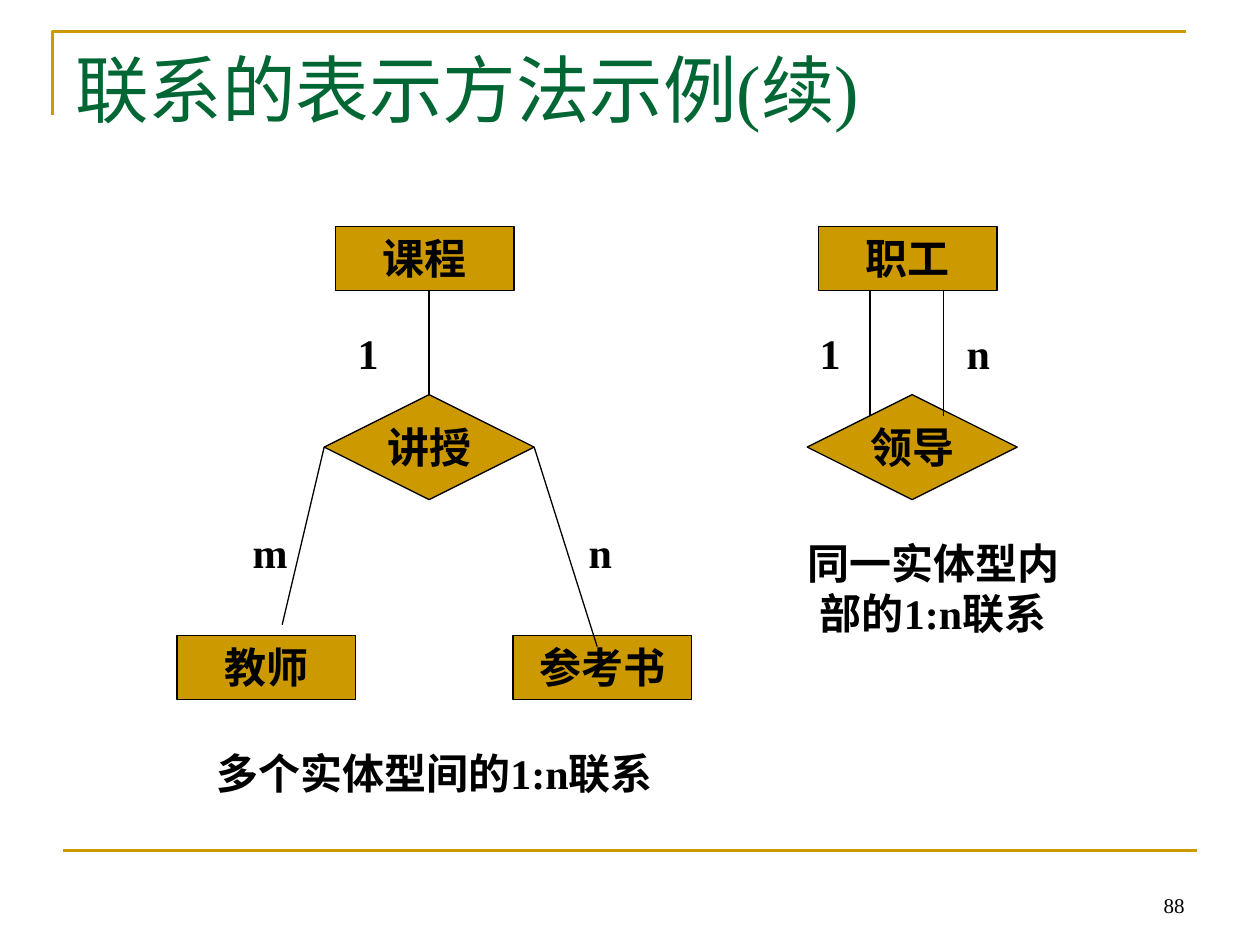
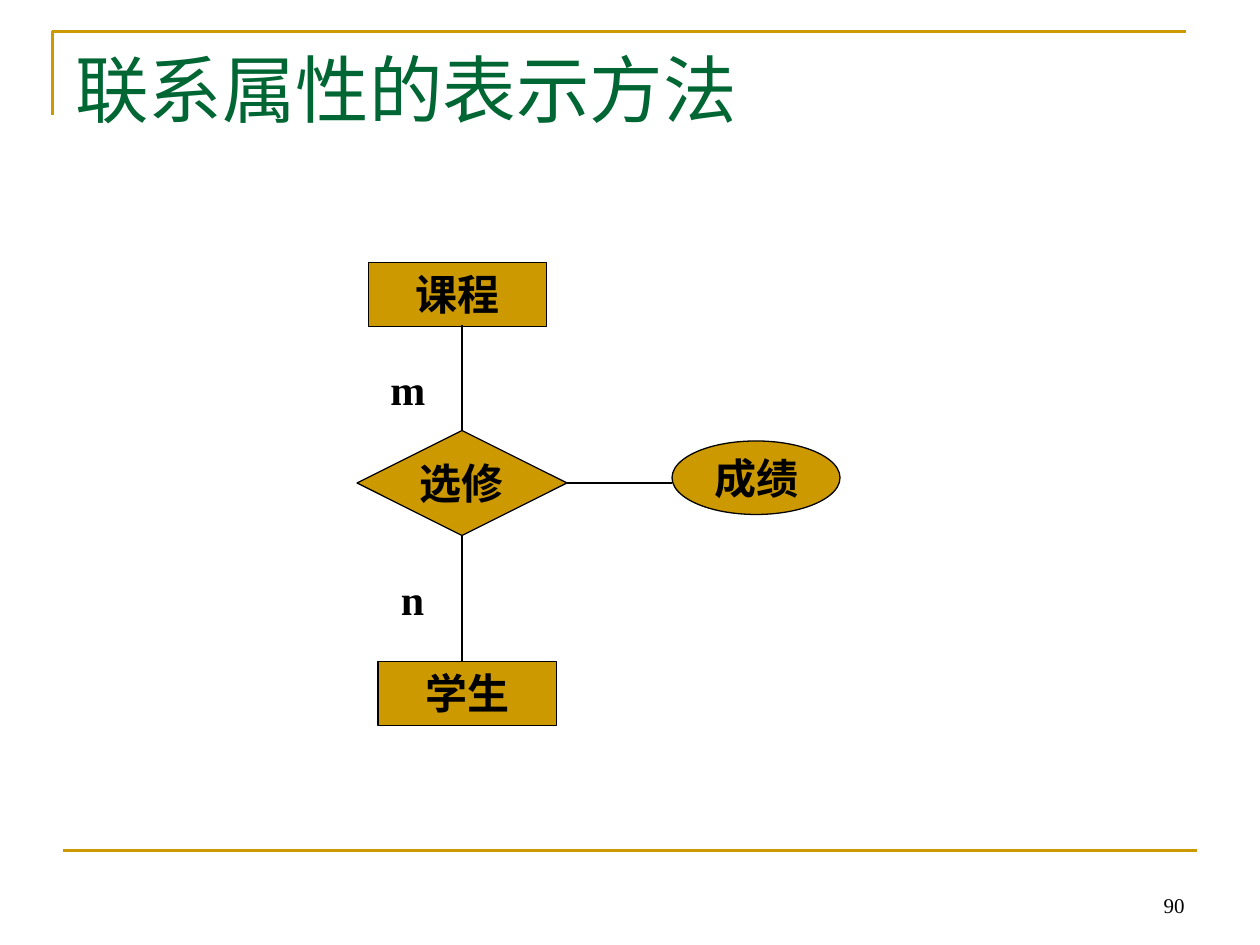
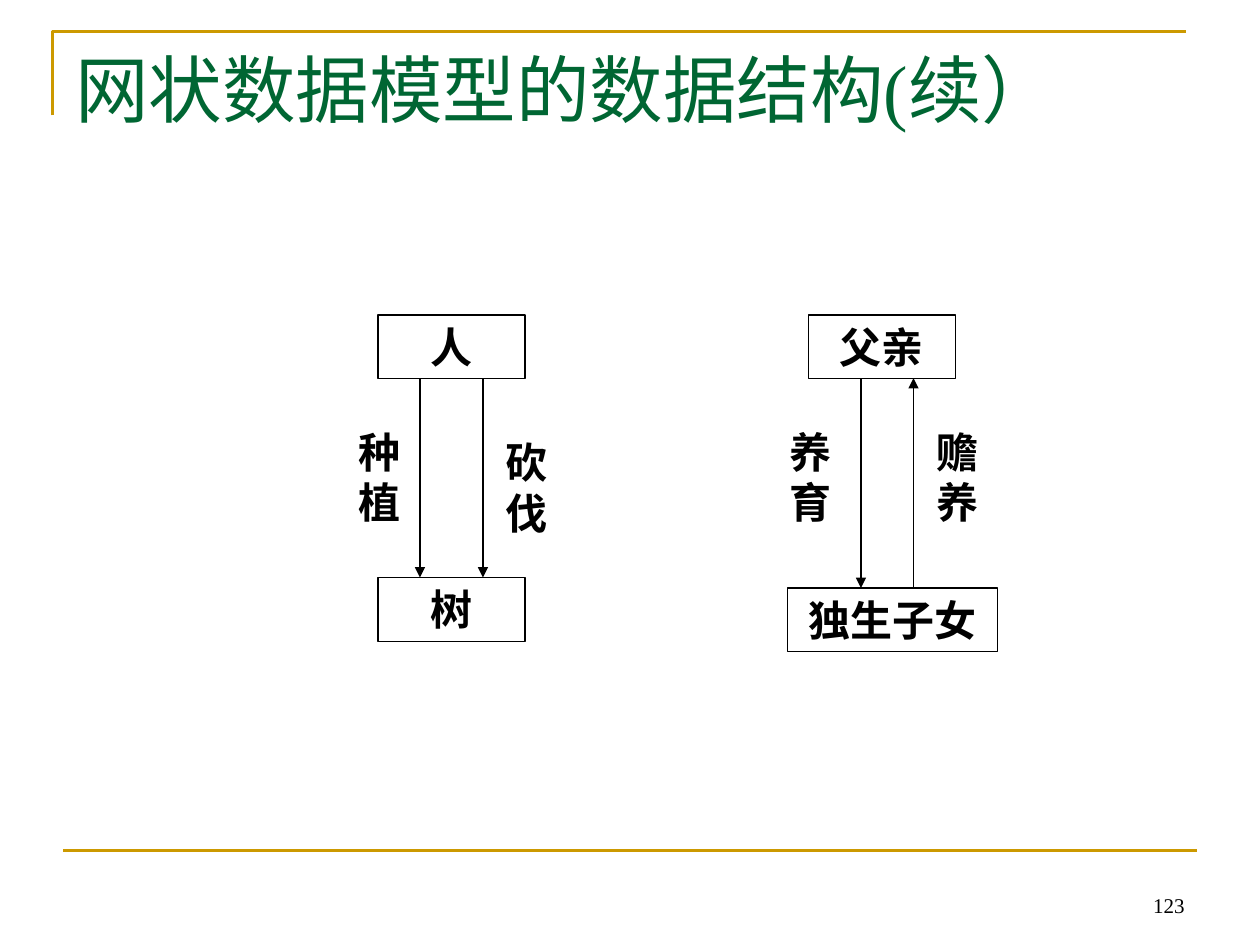
from dataclasses import dataclass

from lxml.etree import SubElement
from pptx import Presentation
from pptx.dml.color import RGBColor
from pptx.enum.shapes import MSO_CONNECTOR, MSO_SHAPE
from pptx.enum.text import MSO_ANCHOR as ANCHOR, MSO_AUTO_SIZE as AUTO, PP_ALIGN as ALIGN
from pptx.oxml.ns import qn
from pptx.util import Pt


@dataclass(frozen=True)
class Theme:
    font: str = "Times New Roman"
    gold: RGBColor = RGBColor(0xCC, 0x99, 0x00)
    green: RGBColor = RGBColor(0x00, 0x66, 0x33)
    black: RGBColor = RGBColor(0x00, 0x00, 0x00)
    title_size: int = 42
    body_size: int = 24
    number_size: int = 12
    frame_width: float = 1.5
    line_width: float = 0.75
    arrow_width: float = 1


T = Theme()

# Sizes of the diagram parts, in points
ENTITY_W, ENTITY_H = 102, 36.5
RELATION_W, RELATION_H = 120, 60
TOP, LEFT, RIGHT = 0, 1, 3


# Text
def write(sp, text, size=T.body_size, color=T.black, bold=True, align=ALIGN.CENTER,
          anchor=ANCHOR.TOP, wrap=True, grow=False):
    tf = sp.text_frame
    tf.word_wrap = wrap
    tf.vertical_anchor = anchor
    tf.auto_size = AUTO.SHAPE_TO_FIT_TEXT if grow else AUTO.NONE
    p = tf.paragraphs[0]
    p.alignment = align
    r = p.add_run()
    r.text = text
    r.font.name = T.font
    r.font.size = Pt(size)
    r.font.bold = bold
    r.font.color.rgb = color


def add_text(s, x, y, w, h, text, **style):
    sp = s.shapes.add_textbox(Pt(x), Pt(y), Pt(w), Pt(h))
    write(sp, text, **style)


def label(s, x, y, text):
    add_text(s, x, y, 30, 36, text, align=ALIGN.LEFT, grow=True)


def vertical_label(s, x, y, text):
    add_text(s, x, y, 36, 65, text, grow=True)


# Shapes
def add_node(s, kind, x, y, w, h, text, fill=T.gold, **style):
    sp = s.shapes.add_shape(kind, Pt(x), Pt(y), Pt(w), Pt(h))
    sp.shadow.inherit = False
    if fill is None:
        sp.fill.background()
    else:
        sp.fill.solid()
        sp.fill.fore_color.rgb = fill
    sp.line.color.rgb = T.black
    sp.line.width = Pt(T.line_width)
    write(sp, text, **style)
    return sp


def entity(s, x, y, text, w=ENTITY_W, fill=T.gold):
    return add_node(s, MSO_SHAPE.RECTANGLE, x, y, w, ENTITY_H, text, fill, grow=True)


def relation(s, x, y, text):
    return add_node(s, MSO_SHAPE.DIAMOND, x, y, RELATION_W, RELATION_H, text,
                    anchor=ANCHOR.MIDDLE, wrap=False)


def attribute(s, x, y, text):
    return add_node(s, MSO_SHAPE.OVAL, x, y, 96, 42, text,
                    anchor=ANCHOR.MIDDLE, wrap=False)


def entity_over_relation(s, x, y, entity_text, relation_text):
    entity(s, x + 6.5, y, entity_text)
    return relation(s, x, y + 96, relation_text)


# Lines
def add_line(s, x1, y1, x2, y2, color=T.black, width=T.line_width, arrow=False):
    c = s.shapes.add_connector(MSO_CONNECTOR.STRAIGHT, Pt(x1), Pt(y1), Pt(x2), Pt(y2))
    c.line.color.rgb = color
    c.line.width = Pt(width)
    if arrow:
        SubElement(c.line._get_or_add_ln(), qn("a:tailEnd"), type="triangle")
    SubElement(c._element.spPr, qn("a:effectLst"))
    return c


def line_from(s, sp, site, x, y):
    add_line(s, x, y, x, y).begin_connect(sp, site)


def arrow(s, x, y1, y2):
    add_line(s, x, y1, x, y2, width=T.arrow_width, arrow=True)


# Frame, title and number shared by all slides
def new_slide(prs, title, number):
    s = prs.slides.add_slide(prs.slide_layouts[6])
    outline = s.shapes.build_freeform(Pt(30), Pt(66))
    outline.add_line_segments([(Pt(30), Pt(18)), (Pt(678), Pt(18))], close=False)
    corner = outline.convert_to_shape()
    corner.shadow.inherit = False
    corner.fill.background()
    corner.line.color.rgb = T.gold
    corner.line.width = Pt(T.frame_width)
    add_line(s, 36, 486, 684, 486, T.gold, T.frame_width)
    add_text(s, 36, 21.6, 648, 90, title, size=T.title_size, color=T.green,
             bold=False, align=ALIGN.LEFT)
    add_text(s, 516, 492, 168, 36, number, size=T.number_size, bold=False,
             align=ALIGN.RIGHT, anchor=ANCHOR.BOTTOM)
    return s


def relation_examples(prs):
    s = new_slide(prs, "联系的表示方法示例(续)", "88")
    y = 129.5

    # One-to-many among several entity types
    x = 185.25
    teaching = entity_over_relation(s, x, y, "课程", "讲授")
    entity(s, 101.25, 363.25, "教师")
    entity(s, 293.25, 363.25, "参考书")
    line_from(s, teaching, TOP, x + 60, y + 36)
    line_from(s, teaching, LEFT, 161.25, 357)
    line_from(s, teaching, RIGHT, 341.25, 369.5)
    label(s, x + 12, y + 54, "1")
    label(s, 137.25, 297.5, "m")
    label(s, 329.25, 297.5, "n")
    add_text(s, 101.25, 423.5, 294, 36, "多个实体型间的1:n联系", grow=True)

    # One-to-many within one entity type
    x = 461.25
    entity_over_relation(s, x, y, "职工", "领导")
    for line_x in (x + 36, x + 78):
        add_line(s, line_x, y + 36, line_x, y + 108)
    label(s, x, y + 54, "1")
    label(s, x + 84, y + 54, "n")
    add_text(s, 443.25, 303.5, 180, 65, "同一实体型内部的1:n联系", grow=True)


def relation_attribute(prs):
    s = new_slide(prs, "联系属性的表示方法", "90")
    x, y = 204, 150
    choosing = entity_over_relation(s, x, y, "课程", "选修")
    entity(s, 216, 378, "学生")
    attribute(s, 384, 252, "成绩")
    line_from(s, choosing, TOP, x + 60, y + 36)
    line_from(s, choosing, 2, x + 60, 378)
    line_from(s, choosing, RIGHT, 384, 276)
    label(s, x + 12, y + 54, "m")
    label(s, 222, 324, "n")


def network_model(prs):
    s = new_slide(prs, "网状数据模型的数据结构(续）", "123")
    top, bottom = 180, 216

    # Person and tree
    entity(s, 216, top, "人", 84, None)
    entity(s, 216, 330, "树", 84, None)
    for x in (240, 276):
        arrow(s, x, bottom, 330)
    vertical_label(s, 198, 240, "种植")
    vertical_label(s, 282, 246, "砍伐")

    # Father and only child
    entity(s, 462, top, "父亲", 84, None)
    entity(s, 450, 336, "独生子女", 120, None)
    arrow(s, 492, bottom, 336)
    arrow(s, 522, 336, bottom)
    vertical_label(s, 444, 240, "养育")
    vertical_label(s, 528, 240, "赡养")


def main():
    prs = Presentation()
    prs.slide_width, prs.slide_height = Pt(720), Pt(540)
    relation_examples(prs)
    relation_attribute(prs)
    network_model(prs)
    prs.save("out.pptx")


if __name__ == "__main__":
    main()
